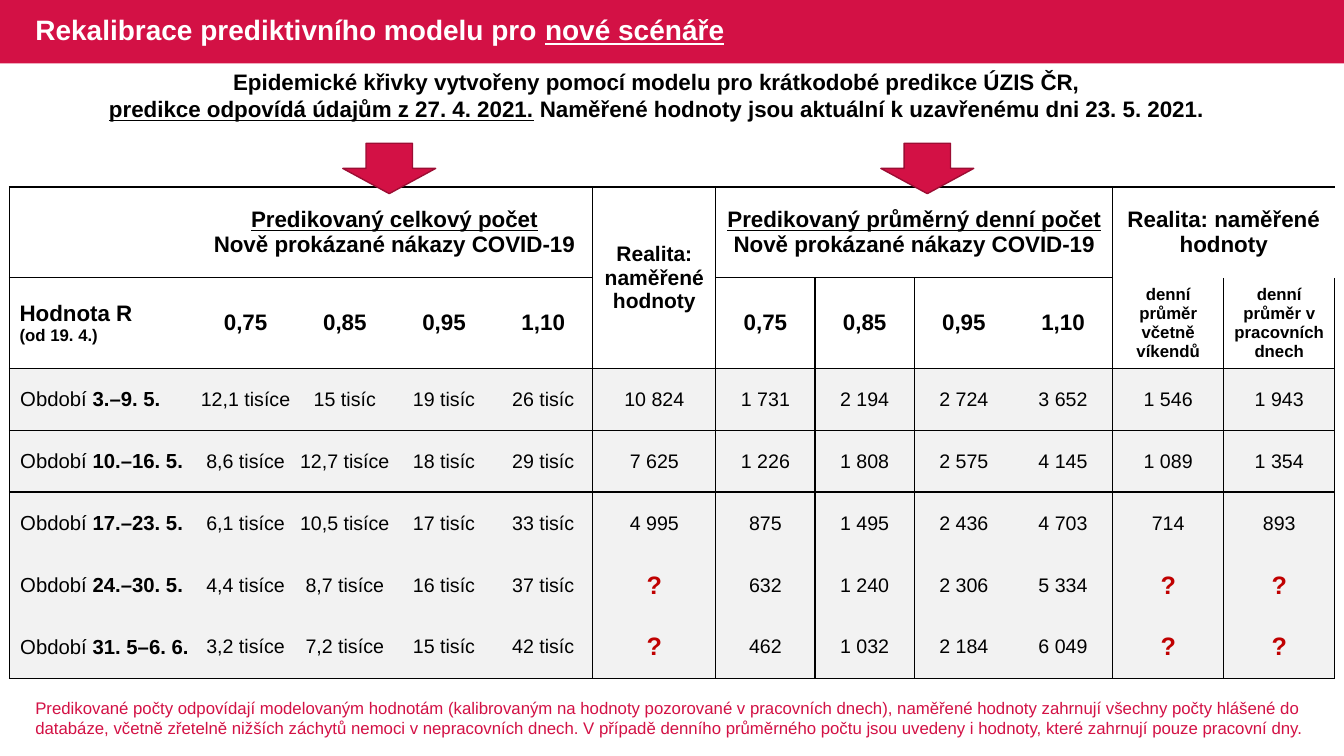
from lxml import etree
from pptx import Presentation
from pptx.dml.color import RGBColor
from pptx.enum.shapes import MSO_SHAPE
from pptx.enum.text import MSO_ANCHOR, PP_ALIGN
from pptx.oxml.ns import qn
from pptx.util import Cm, Pt

RECT, DOWN_ARROW = MSO_SHAPE.RECTANGLE, MSO_SHAPE.DOWN_ARROW
TOP, MIDDLE = MSO_ANCHOR.TOP, MSO_ANCHOR.MIDDLE
LEFT, CENTER = PP_ALIGN.LEFT, PP_ALIGN.CENTER

COLORS = {"red": "D31145", "dark_red": "9C0D33", "white": "FFFFFF",
          "black": "000000", "grey": "F2F2F2", "unknown": "C00000"}
NO_STYLE = "{2D5ABB26-0587-4C30-8999-92F81FD0307C}"

COL_WIDTHS = [4.7] + [2.5] * 4 + [3.1] + [2.5] * 4 + [2.8] * 2
ROW_HEIGHTS = [2.29, 2.17] + [1.56] * 5
R_VALUES = ["0,75", "0,85", "0,95", "1,10"]
PERIODS = [
    ["3.–9. 5.", "12,1 tisíce", "15 tisíc", "19 tisíc", "26 tisíc", "10 824",
     "1 731", "2 194", "2 724", "3 652", "1 546", "1 943"],
    ["10.–16. 5.", "8,6 tisíce", "12,7 tisíce", "18 tisíc", "29 tisíc", "7 625",
     "1 226", "1 808", "2 575", "4 145", "1 089", "1 354"],
    ["17.–23. 5.", "6,1 tisíce", "10,5 tisíce", "17 tisíc", "33 tisíc", "4 995",
     "875", "1 495", "2 436", "4 703", "714", "893"],
    ["24.–30. 5.", "4,4 tisíce", "8,7 tisíce", "16 tisíc", "37 tisíc", "?",
     "632", "1 240", "2 306", "5 334", "?", "?"],
    ["31. 5–6. 6.", "3,2 tisíce", "7,2 tisíce", "15 tisíc", "42 tisíc", "?",
     "462", "1 032", "2 184", "6 049", "?", "?"],
]

HEAD = {"size": Pt(16), "bold": True}
HEAD_U = {**HEAD, "underline": True}
HEAD_15 = {**HEAD, "size": Pt(15)}
HEAD_12 = {**HEAD, "size": Pt(12)}
TITLE = {"size": Pt(20), "bold": True, "color": "white"}
TITLE_U = {**TITLE, "underline": True}
NOTE = {"size": Pt(12), "color": "red"}
PERIOD = {"size": Pt(14.5)}
PERIOD_B = {**PERIOD, "bold": True}
VALUE = {"size": Pt(14)}
UNKNOWN = {"size": Pt(18), "bold": True, "color": "unknown"}


def rgb(name):
    return RGBColor.from_string(COLORS[name])


def write(tf, paragraphs, align=LEFT):
    """Fill a text frame; a paragraph is a list of (text, format), None breaks the line."""
    for i, parts in enumerate(paragraphs):
        p = tf.paragraphs[0] if i == 0 else tf.add_paragraph()
        p.alignment = align
        for part in parts:
            if part is None:
                p.add_line_break()
                continue
            text, style = part
            r = p.add_run()
            r.text = text
            values = {"name": "Arial", "bold": False, **style}
            r.font.color.rgb = rgb(values.pop("color", "black"))
            for name, value in values.items():
                setattr(r.font, name, value)


def add_text(s, box, parts, align=LEFT, anchor=TOP):
    tf = s.shapes.add_textbox(*map(Cm, box)).text_frame
    tf.word_wrap = True
    tf.vertical_anchor = anchor
    write(tf, [parts], align)
    return tf


def add_shape(s, kind, box, line=None):
    sp = s.shapes.add_shape(kind, *map(Cm, box))
    sp.shadow.inherit = False
    sp.fill.solid()
    sp.fill.fore_color.rgb = rgb("red")
    if line:
        sp.line.color.rgb = rgb(line)
        sp.line.width = Pt(1)
    else:
        sp.line.fill.background()


def rule_left(row, col):
    """Width in points of the vertical rule left of a cell, 0 for none."""
    return int(col in (0, 5, 6, 10, 12) or (col in (7, 11) and row > 0))


def rule_above(row, col):
    """Width in points of the horizontal rule above a cell, 0 for none."""
    if row in (0, 3):
        return 1.5
    return int(row in (2, 7) or (row == 1 and col not in (5, 10, 11)))


def draw_borders(cell, row, col):
    tc_pr = cell._tc.get_or_add_tcPr()
    widths = {"a:lnL": rule_left(row, col), "a:lnR": rule_left(row, col + 1),
              "a:lnT": rule_above(row, col), "a:lnB": rule_above(row + 1, col)}
    for tag, width in widths.items():
        if width:
            ln = etree.SubElement(tc_pr, qn(tag), w=str(Pt(width)))
            fill = etree.SubElement(ln, qn("a:solidFill"))
            etree.SubElement(fill, qn("a:srgbClr"), val=COLORS["black"])


def fill_cell(cell, paragraphs, align=CENTER, inset=None):
    cell.vertical_anchor = MIDDLE
    if inset is not None:
        for side in ("left", "right", "top", "bottom"):
            setattr(cell, f"margin_{side}", Cm(inset))
    write(cell.text_frame, paragraphs, align)


def fill_header(table):
    for row, col, last_row, last_col in [(0, 1, 0, 4), (0, 5, 1, 5),
                                         (0, 6, 0, 9), (0, 10, 0, 11)]:
        table.cell(row, col).merge(table.cell(last_row, last_col))
    cases = ("Nově prokázané nákazy COVID-19", HEAD)
    fill_cell(table.cell(0, 1), [[("Predikovaný celkový počet", HEAD_U), None, cases]])
    fill_cell(table.cell(0, 6), [[("Predikovaný průměrný denní počet", HEAD_U), None, cases]])
    for col, style in [(5, HEAD_15), (10, HEAD)]:
        fill_cell(table.cell(0, col), [[("Realita: naměřené", style)], [("hodnoty", style)]])
    fill_cell(table.cell(1, 0), [[("Hodnota R", HEAD), None, ("(od 19. 4.)", HEAD_12)]], LEFT)
    for first in (1, 6):
        for i, value in enumerate(R_VALUES):
            fill_cell(table.cell(1, first + i), [[(value, HEAD)]], inset=0.02)
    for col, text in [(10, "denní průměr včetně víkendů"),
                      (11, "denní průměr v pracovních dnech")]:
        fill_cell(table.cell(1, col), [[(text, HEAD_12)]])


def fill_periods(table):
    for row, (period, *values) in enumerate(PERIODS, start=2):
        cell = table.cell(row, 0)
        fill_cell(cell, [[("Období ", PERIOD), (period, PERIOD_B)]], LEFT, 0.02)
        cell.text_frame.paragraphs[0]._p.get_or_add_pPr().set("marL", str(Cm(0.25)))
        for col, value in enumerate(values, start=1):
            style = UNKNOWN if value == "?" else VALUE
            fill_cell(table.cell(row, col), [[(value, style)]], inset=0)


def add_prediction_table(s):
    frame = s.shapes.add_table(len(ROW_HEIGHTS), len(COL_WIDTHS), Cm(0.24), Cm(4.71),
                               Cm(sum(COL_WIDTHS)), Cm(sum(ROW_HEIGHTS)))
    table = frame.table
    table._tbl.tblPr.find(qn("a:tableStyleId")).text = NO_STYLE
    table.first_row = table.horz_banding = False
    for column, width in zip(table.columns, COL_WIDTHS):
        column.width = Cm(width)
    for i, height in enumerate(ROW_HEIGHTS):
        table.rows[i].height = Cm(height)
        for j in range(len(COL_WIDTHS)):
            cell = table.cell(i, j)
            draw_borders(cell, i, j)
            if i < 2:
                cell.fill.background()
            else:
                cell.fill.solid()
                cell.fill.fore_color.rgb = rgb("grey")
    fill_header(table)
    fill_periods(table)


def main():
    prs = Presentation()
    prs.slide_width, prs.slide_height = Cm(33.87), Cm(19.05)
    s = prs.slides.add_slide(prs.slide_layouts[6])
    add_shape(s, RECT, (0, 0, 33.87, 1.6))
    add_text(s, (-0.56, 1.6, 34.21, 1.63), [
        ("Epidemické křivky vytvořeny pomocí modelu pro krátkodobé predikce ÚZIS ČR,", HEAD),
        None,
        ("predikce odpovídá údajům z 27. 4. 2021.", HEAD_U),
        (" Naměřené hodnoty jsou aktuální k uzavřenému dni 23. 5. 2021.", HEAD)], CENTER)
    title = add_text(s, (0.64, 0, 18.82, 1.6), [
        ("Rekalibrace prediktivního modelu pro ", TITLE), ("nové scénáře", TITLE_U)],
        anchor=MIDDLE)
    title.paragraphs[0].line_spacing = 0.9
    add_prediction_table(s)
    add_text(s, (0.64, 17.45, 32.59, 1.27), [(
        "Predikované počty odpovídají modelovaným hodnotám (kalibrovaným na hodnoty "
        "pozorované v pracovních dnech), naměřené hodnoty zahrnují všechny počty hlášené do "
        "databáze, včetně zřetelně nižších záchytů nemoci v nepracovních dnech. V případě "
        "denního průměrného počtu jsou uvedeny i hodnoty, které zahrnují pouze pracovní dny.",
        NOTE)])
    for x in (8.64, 22.2):
        add_shape(s, DOWN_ARROW, (x, 3.61, 2.34, 1.27), "dark_red")
    prs.save("out.pptx")


if __name__ == "__main__":
    main()
